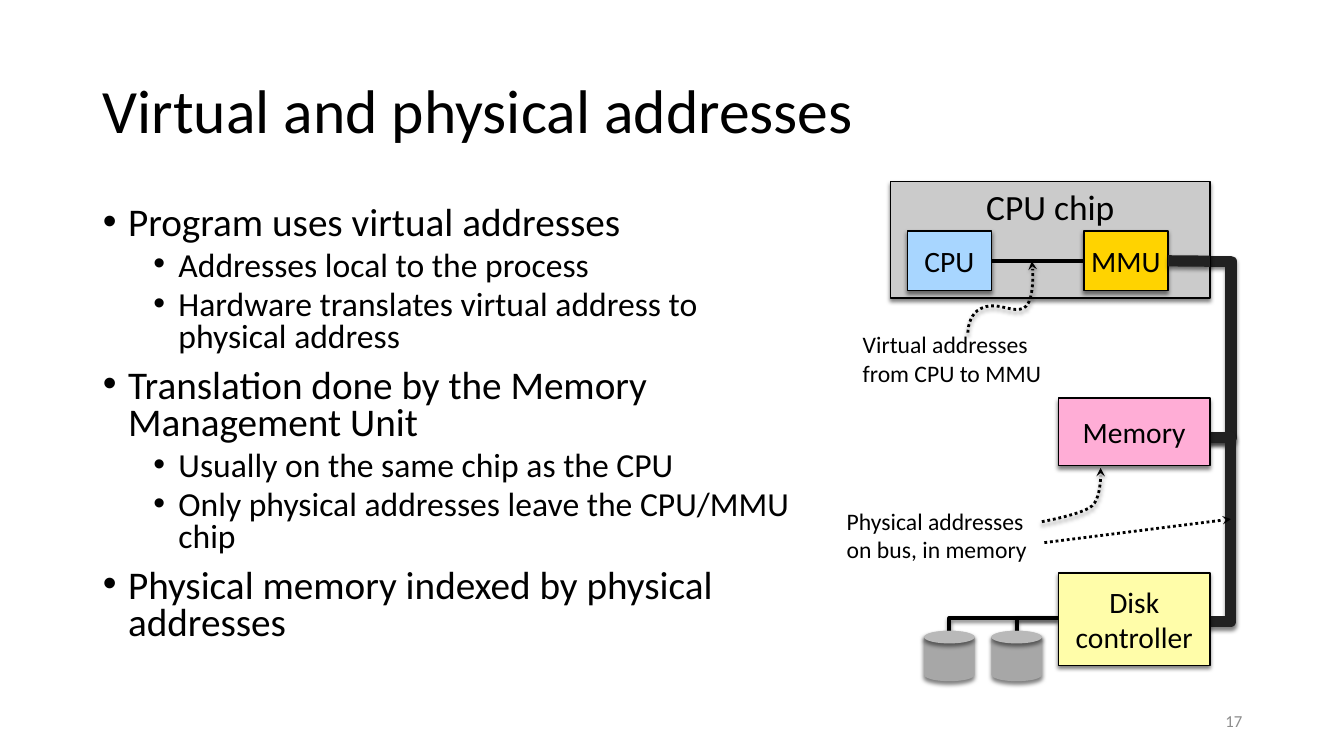
from lxml.etree import SubElement
from pptx import Presentation
from pptx.dml.color import RGBColor
from pptx.enum.dml import MSO_LINE
from pptx.enum.shapes import MSO_CONNECTOR, MSO_SHAPE
from pptx.enum.text import MSO_ANCHOR, MSO_AUTO_SIZE, PP_ALIGN
from pptx.oxml.ns import qn
from pptx.util import Inches, Pt

BLACK = RGBColor(0x00, 0x00, 0x00)
BUS = RGBColor(0x21, 0x21, 0x21)
PAGE_GREY = RGBColor(0x8C, 0x8C, 0x8C)
CHIP_GREY = RGBColor(0xCB, 0xCB, 0xCB)
CPU_BLUE = RGBColor(0xA8, 0xD6, 0xFF)
MMU_GOLD = RGBColor(0xFF, 0xD3, 0x00)
MEMORY_PINK = RGBColor(0xFF, 0xAD, 0xD6)
DISK_YELLOW = RGBColor(0xFF, 0xFD, 0xA9)
DRUM_GREY = RGBColor(0xA7, 0xA7, 0xA7)
LID_GREY = RGBColor(0xB9, 0xB9, 0xB9)

FONT = "Calibri"
GRID = 1 / 12

TITLE = "Virtual and physical addresses"
PAGE = "17"
BULLETS = [
    (0, "Program uses virtual addresses"),
    (1, "Addresses local to the process"),
    (1, "Hardware translates virtual address to physical address"),
    (0, "Translation done by the Memory Management Unit"),
    (1, "Usually on the same chip as the CPU"),
    (1, "Only physical addresses leave the CPU/MMU chip"),
    (0, "Physical memory indexed by physical addresses"),
]
LEVELS = [(28, 10, 0.25), (24, 5, 0.75)]

WIRES = [
    ([(113, 75.1), (113, 73.6), (126, 73.6)], BLACK, 3),
    ([(121, 75.1), (121, 73.6), (126, 73.6)], BLACK, 3),
    ([(143.5, 31.1), (146.5, 31.1), (146.5, 52.1), (142.6, 52.1)], BUS, 8),
    ([(143.8, 52.1), (146.5, 52.1), (146.5, 74), (142.9, 74)], BUS, 8),
]
BOXES = [
    ("CPU chip", (106, 21.6, 38, 13.9), CHIP_GREY, 25.3, MSO_ANCHOR.TOP),
    ("CPU", (108, 27.5, 10, 7.1), CPU_BLUE, 21.1, MSO_ANCHOR.MIDDLE),
    ("MMU", (129, 27.5, 10, 7.1), MMU_GOLD, 21.1, MSO_ANCHOR.MIDDLE),
    ("Memory", (126, 47.4, 18, 8), MEMORY_PINK, 21.1, MSO_ANCHOR.MIDDLE),
    ("Disk controller", (126, 68.2, 18, 11), DISK_YELLOW, 21.1, MSO_ANCHOR.MIDDLE),
]
DRUMS = [110, 118]
LABELS = [
    (("Virtual addresses", "from CPU to MMU"), (102.2, 38.8, 22.3, 7.8)),
    (("Physical addresses", "on bus, in memory"), (100.3, 59.8, 22.6, 7.8)),
]
CURVES = [
    [(115.2, 39.6), (115.2, 39.6), (115.2, 37.4), (116.8, 36.7),
     (118.7, 35.8), (120.4, 37.3), (121.8, 36.7),
     (123.2, 36.1), (122.9, 31.9), (122.9, 31.9),
     (122.9, 31.9), (122.8, 31.1), (122.8, 31.1)],
    [(124, 62.1), (124, 62.1), (129, 61.2), (130, 60.2),
     (131, 59.3), (131, 56.6), (131, 56.6),
     (131, 56.6), (131, 55.7), (131, 55.7)],
]
BUS_POINTER = [(124.3, 64.6), (146.5, 61.8)]

prs = Presentation()
prs.slide_width, prs.slide_height = Inches(13.33), Inches(7.5)
slide = prs.slides.add_slide(prs.slide_layouts[1])
shapes = slide.shapes


def units(*values):
    return [Inches(value * GRID) for value in values]


def set_effect(part, shadowed=True):
    props = part._element.spPr
    for old in props.findall(qn("a:effectLst")):
        props.remove(old)
    effects = SubElement(props, qn("a:effectLst"))
    if shadowed:
        shade = SubElement(effects, qn("a:outerShdw"), blurRad=str(Pt(3)),
                           dist=str(Pt(2)), dir="5400000", rotWithShape="0")
        colour = SubElement(shade, qn("a:srgbClr"), val=str(BLACK))
        SubElement(colour, qn("a:alpha"), val="50000")


def style_line(part, colour, width, arrow=False):
    part.line.color.rgb = colour
    part.line.width = Pt(width)
    if arrow:
        part.line.dash_style = MSO_LINE.ROUND_DOT
        SubElement(part.line._get_or_add_ln(), qn("a:tailEnd"), type="stealth")


def write(paragraph, text, size, colour=BLACK):
    run = paragraph.add_run()
    run.text = text
    run.font.name, run.font.size = FONT, Pt(size)
    run.font.color.rgb = colour


def place(part, left, top, width, height):
    part.left, part.top = Inches(left), Inches(top)
    part.width, part.height = Inches(width), Inches(height)


def set_insets(frame):
    frame.margin_left = frame.margin_right = Inches(0.04)
    frame.margin_top = frame.margin_bottom = Inches(0.04)


def add_path(points, colour, width, arrow=False):
    scaled = [units(*point) for point in points]
    builder = shapes.build_freeform(*scaled[0])
    builder.add_line_segments(scaled[1:], close=False)
    path = builder.convert_to_shape()
    path.fill.background()
    style_line(path, colour, width, arrow)
    set_effect(path)


def add_solid(kind, box, fill):
    solid = shapes.add_shape(kind, *units(*box))
    solid.fill.solid()
    solid.fill.fore_color.rgb = fill
    solid.line.fill.background()
    set_effect(solid)
    return solid


def add_link(start, end, colour, width, arrow=False, shadowed=False):
    link = shapes.add_connector(MSO_CONNECTOR.STRAIGHT, *units(*start, *end))
    style_line(link, colour, width, arrow)
    set_effect(link, shadowed)
    return link


def bezier_points(nodes, steps=10):
    points = [nodes[0]]
    for first in range(0, len(nodes) - 1, 3):
        a, b, c, d = nodes[first:first + 4]
        for step in range(1, steps + 1):
            t = step / steps
            s = 1 - t
            points.append(tuple(
                s**3 * a[i] + 3 * s * s * t * b[i] + 3 * s * t * t * c[i] + t**3 * d[i]
                for i in (0, 1)))
    return points


title = shapes.title
place(title, 0.92, 0.4, 11.5, 1.45)
title.text_frame.auto_size = MSO_AUTO_SIZE.NONE
title.text_frame.vertical_anchor = MSO_ANCHOR.MIDDLE
heading = title.text_frame.paragraphs[0]
heading.alignment, heading.line_spacing = PP_ALIGN.LEFT, 0.9
write(heading, TITLE, 44)

body = slide.placeholders[1]
place(body, 0.92, 2, 7.14, 4.76)
body.text_frame.auto_size = MSO_AUTO_SIZE.NONE
for index, (level, text) in enumerate(BULLETS):
    size, space, indent = LEVELS[level]
    item = body.text_frame.add_paragraph() if index else body.text_frame.paragraphs[0]
    item.level, item.line_spacing = level, 0.8
    item.space_before = Pt(space if index else 0)
    props = item._p.get_or_add_pPr()
    props.set("marL", str(Inches(indent)))
    props.set("indent", str(Inches(-0.25)))
    SubElement(props, qn("a:buFont"), typeface="Arial")
    SubElement(props, qn("a:buChar"), char="•")
    write(item, text, size)

page = shapes.add_textbox(*[Inches(v) for v in (9.42, 6.95, 3, 0.4)]).text_frame
page.word_wrap, page.vertical_anchor = True, MSO_ANCHOR.MIDDLE
page.paragraphs[0].alignment = PP_ALIGN.RIGHT
write(page.paragraphs[0], PAGE, 12, PAGE_GREY)

for points, colour, width in WIRES:
    add_path(points, colour, width)

parts = {}
for text, box, fill, size, anchor in BOXES:
    part = parts[text] = add_solid(MSO_SHAPE.RECTANGLE, box, fill)
    style_line(part, BLACK, 1)
    frame = part.text_frame
    set_insets(frame)
    frame.word_wrap, frame.vertical_anchor = True, anchor
    frame.paragraphs[0].alignment = PP_ALIGN.CENTER
    write(frame.paragraphs[0], text, size)

chip_link = add_link((118, 31.1), (129, 31.1), BLACK, 3)
chip_link.begin_connect(parts["CPU"], 3)
chip_link.end_connect(parts["MMU"], 1)
bus_link = add_link((139, 31.1), (144, 31.1), BUS, 8, shadowed=True)
bus_link.begin_connect(parts["MMU"], 3)

for left in DRUMS:
    add_solid(MSO_SHAPE.CAN, (left, 75.1, 6, 6), DRUM_GREY)
    add_solid(MSO_SHAPE.OVAL, (left, 75.1, 6, 1.5), LID_GREY)

for lines, box in LABELS:
    frame = shapes.add_textbox(*units(*box)).text_frame
    set_insets(frame)
    frame.word_wrap, frame.vertical_anchor = False, MSO_ANCHOR.MIDDLE
    label = frame.paragraphs[0]
    write(label, lines[0], 16.9)
    label.add_line_break()
    write(label, lines[1], 16.9)

for nodes in CURVES:
    add_path(bezier_points(nodes), BLACK, 2, arrow=True)
add_link(*BUS_POINTER, BLACK, 2, arrow=True)

prs.save("out.pptx")
